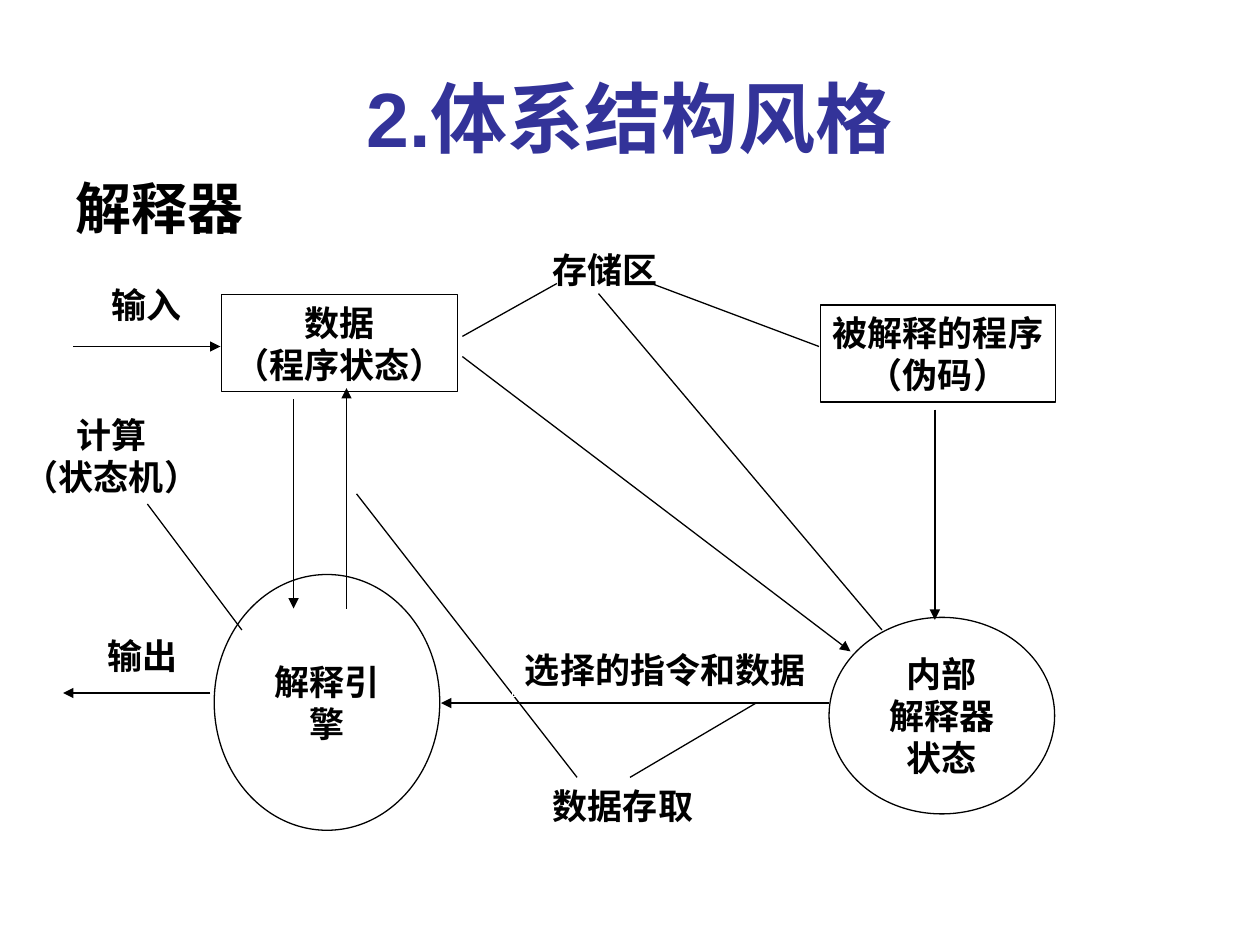
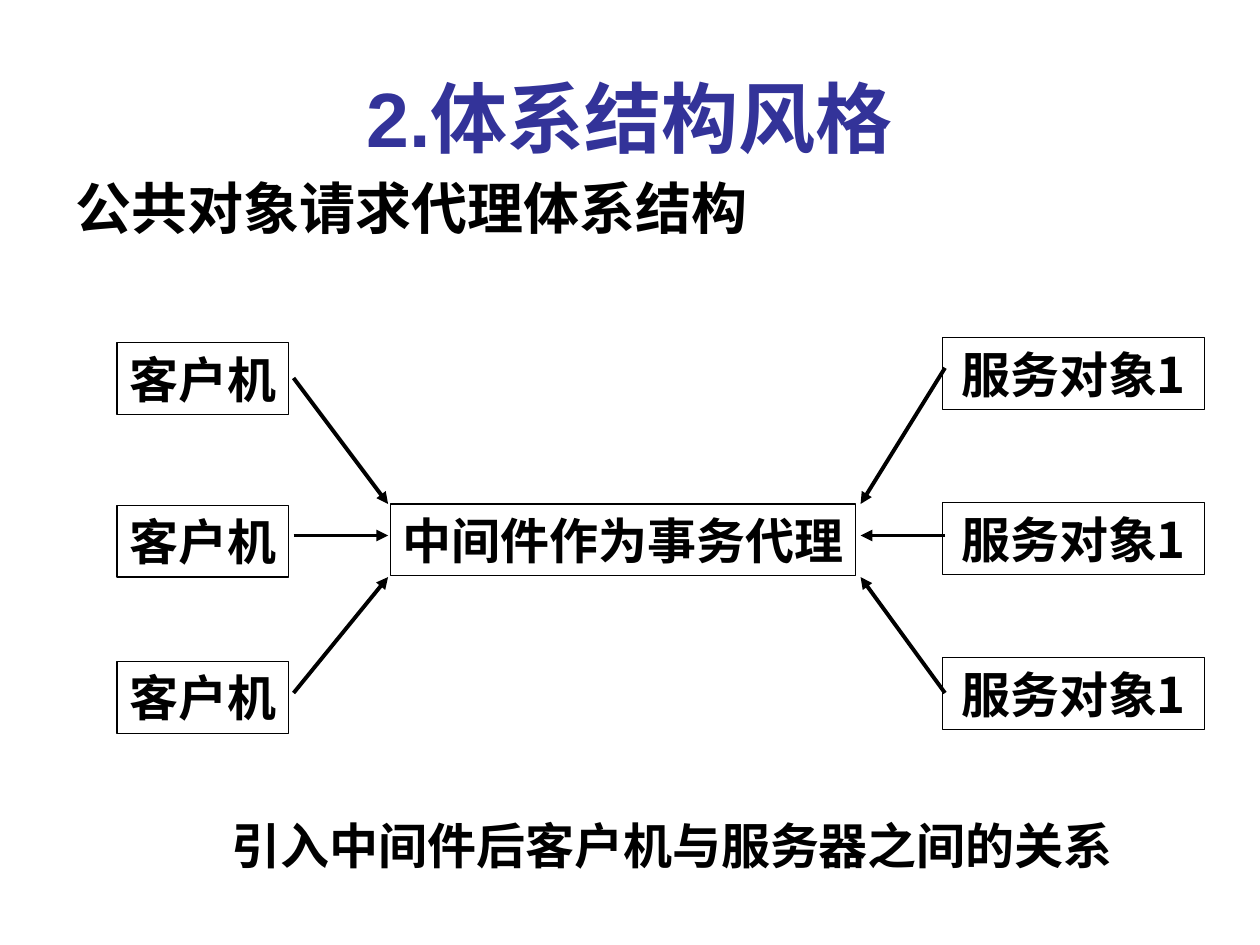
from dataclasses import dataclass

from lxml.etree import SubElement
from pptx import Presentation
from pptx.dml.color import RGBColor
from pptx.enum.shapes import MSO_CONNECTOR, MSO_SHAPE
from pptx.enum.text import MSO_ANCHOR as Anchor, PP_ALIGN as Align
from pptx.oxml.ns import qn
from pptx.util import Pt

PX = 9144


@dataclass(frozen=True)
class Theme:
    title: RGBColor = RGBColor(0x33, 0x33, 0x99)
    ink: RGBColor = RGBColor(0, 0, 0)
    paper: RGBColor = RGBColor(255, 255, 255)
    latin: str = "Arial"
    cjk: str = "Noto Sans CJK SC"
    title_size: int = 44
    heading_size: int = 32
    large_size: int = 28
    node_size: int = 20
    thin: float = 0.75
    thick: float = 2.25


T = Theme()


def emu(*lengths):
    return [v * PX for v in lengths]


def write(tf, lines, size, color=T.ink, font=T.cjk, align=Align.CENTER,
          anchor=Anchor.MIDDLE, wrap=True):
    tf.word_wrap = wrap
    tf.vertical_anchor = anchor
    tf.margin_left = tf.margin_right = 10 * PX
    tf.margin_top = tf.margin_bottom = 5 * PX
    for i, line in enumerate(lines):
        p = tf.add_paragraph() if i else tf.paragraphs[0]
        p.alignment = align
        r = p.add_run()
        r.text = line
        r.font.size = Pt(size)
        r.font.bold = True
        r.font.color.rgb = color
        r.font.name = font
        SubElement(r._r.get_or_add_rPr(), qn("a:ea"), typeface=T.cjk)


def add_text(s, box, text, size, **style):
    tf = s.shapes.add_textbox(*emu(*box)).text_frame
    write(tf, [text], size, **style)


def add_node(s, box, lines, size=T.node_size, kind=MSO_SHAPE.RECTANGLE,
             line=T.ink):
    sp = s.shapes.add_shape(kind, *emu(*box))
    sp.shadow.inherit = False
    sp.fill.background()
    sp.line.color.rgb = line
    sp.line.width = Pt(T.thin)
    write(sp.text_frame, lines, size, wrap=kind == MSO_SHAPE.OVAL)


def add_label(s, box, *lines):
    add_node(s, box, lines, line=T.paper)


def add_line(s, ends, arrow=False, width=T.thin):
    cx = s.shapes.add_connector(MSO_CONNECTOR.STRAIGHT, *emu(*ends))
    cx.line.color.rgb = T.ink
    cx.line.width = Pt(width)
    if arrow:
        SubElement(cx.line._get_or_add_ln(), qn("a:tailEnd"), type="triangle")
    SubElement(cx._element.spPr, qn("a:effectLst"))


def add_slide(prs, heading):
    s = prs.slides.add_slide(prs.slide_layouts[6])
    add_text(s, (50, 30, 900, 125), "2.体系结构风格", T.title_size,
             color=T.title, font=T.latin)
    add_text(s, (50, 133, 892, 75), heading, T.heading_size, font=T.latin,
             align=Align.LEFT, anchor=Anchor.TOP)
    return s


def interpreter_slide(prs):
    s = add_slide(prs, "解释器")
    add_label(s, (79, 220, 75, 44), "输入")
    add_label(s, (76, 498, 75, 44), "输出")
    add_label(s, (9, 323, 159, 77), "计算", "（状态机）")
    add_label(s, (429, 192, 103, 44), "存储区")
    add_label(s, (429, 617, 131, 44), "数据存取")

    add_node(s, (176, 234, 187, 77), ["数据", "（程序状态）"])
    add_node(s, (651, 242, 187, 77), ["被解释的程序", "（伪码）"])
    add_node(s, (170, 456, 179, 203), ["解释引擎"], kind=MSO_SHAPE.OVAL)
    add_node(s, (658, 490, 179, 156), ["内部", "解释器", "状态"],
             kind=MSO_SHAPE.OVAL)

    flows = [
        (58, 275, 175, 275),
        (658, 558, 350, 558),
        (233, 317, 233, 483),
        (275, 483, 275, 308),
        (167, 550, 50, 550),
        (367, 283, 675, 517),
        (742, 325, 742, 492),
    ]
    callouts = [
        (117, 400, 192, 500),
        (442, 225, 367, 267),
        (475, 233, 700, 500),
        (517, 225, 650, 275),
        (283, 392, 458, 617),
        (600, 558, 500, 617),
    ]
    for ends in flows:
        add_line(s, ends, arrow=True)
    for ends in callouts:
        add_line(s, ends)
    add_label(s, (407, 509, 242, 44), "选择的指令和数据")


def broker_slide(prs):
    s = add_slide(prs, "公共对象请求代理体系结构")
    add_node(s, (310, 400, 369, 57), ["中间件作为事务代理"], T.large_size)
    rows = [
        (272, 268, 300, 292, 400),
        (401, 399, 425, 425, 425),
        (525, 522, 550, 550, 458),
    ]
    for client_y, service_y, client_out, service_out, broker_in in rows:
        add_node(s, (93, client_y, 136, 57), ["客户机"], T.large_size)
        add_node(s, (748, service_y, 208, 57), ["服务对象1"], T.large_size)
        add_line(s, (233, client_out, 308, broker_in), True, T.thick)
        add_line(s, (750, service_out, 683, broker_in), True, T.thick)
    add_text(s, (167, 642, 733, 57), "引入中间件后客户机与服务器之间的关系",
             T.large_size, anchor=Anchor.TOP)


def main():
    prs = Presentation()
    prs.slide_width, prs.slide_height = emu(1000, 750)
    interpreter_slide(prs)
    broker_slide(prs)
    prs.save("out.pptx")


if __name__ == "__main__":
    main()
